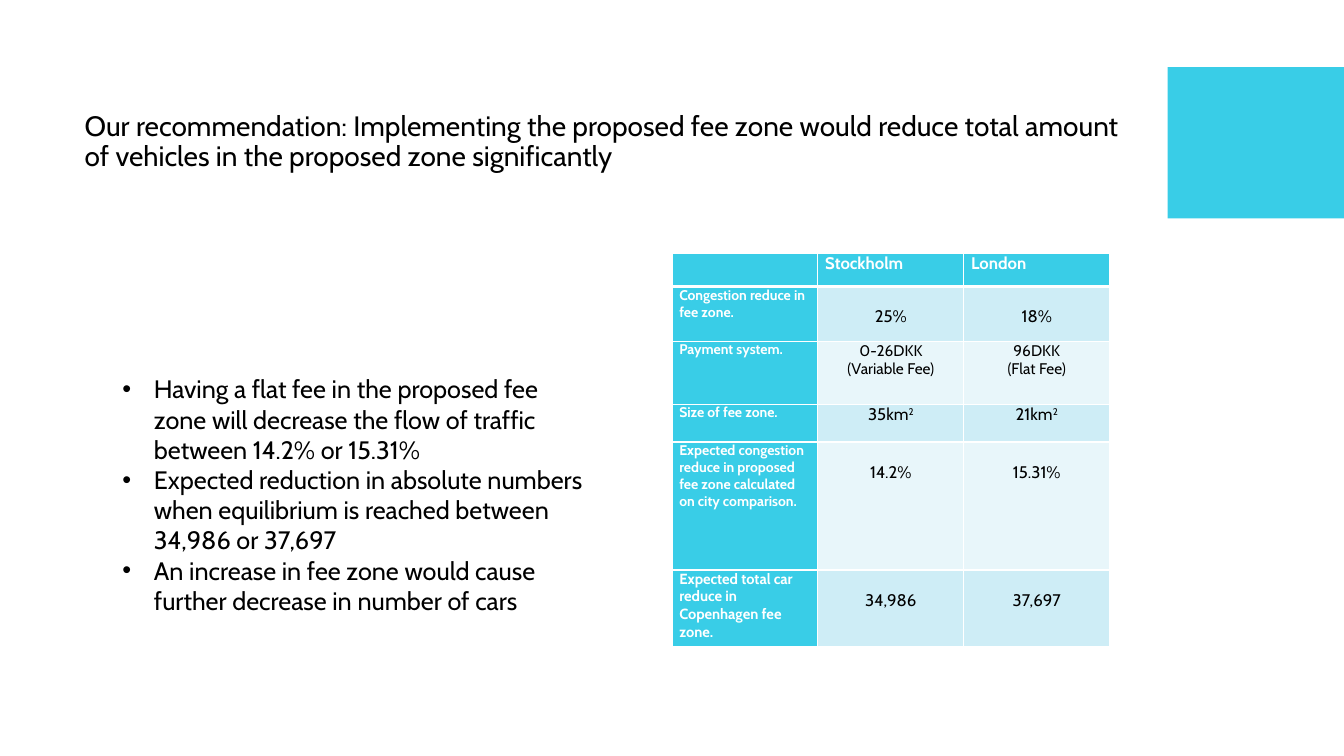
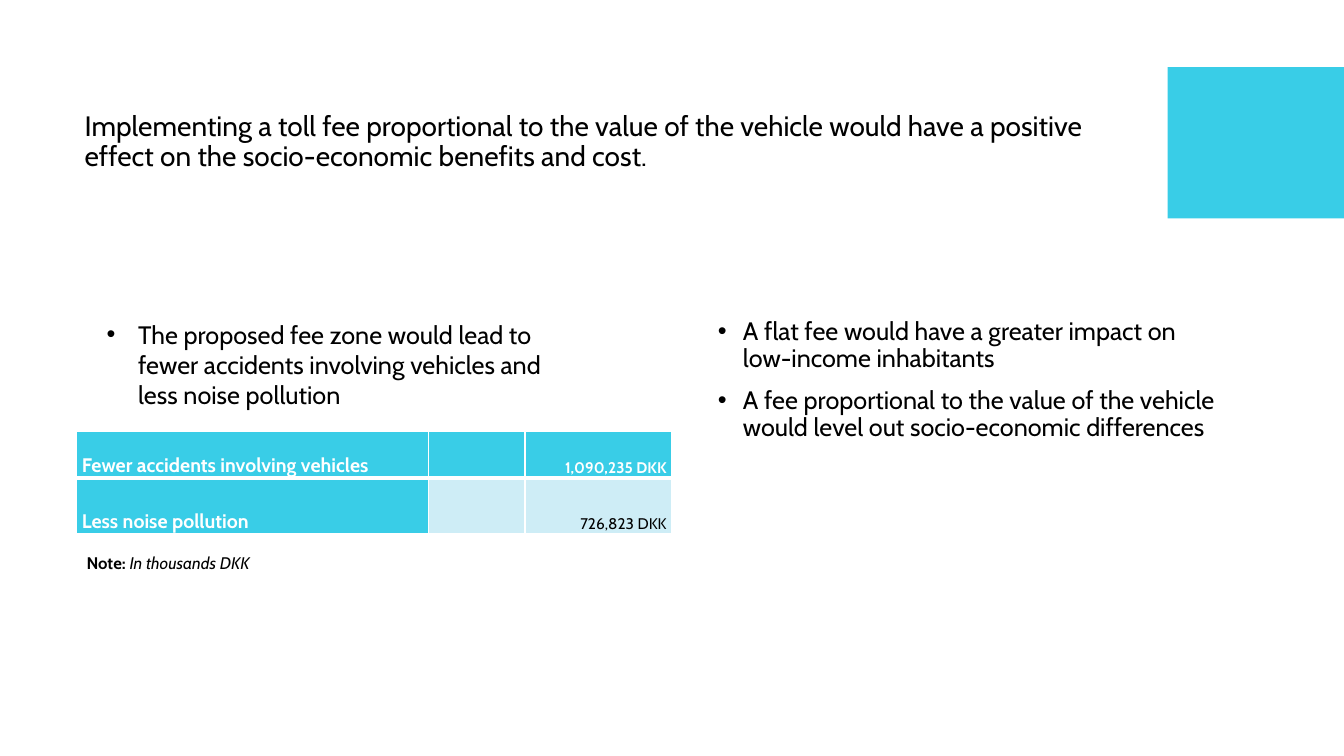
import dataclasses

import pptx
import pptx.dml.color
import pptx.enum.shapes
import pptx.enum.text
import pptx.oxml
import pptx.oxml.ns
import pptx.util

ALIGN = pptx.enum.text.PP_ALIGN
ANCHOR = pptx.enum.text.MSO_ANCHOR
FIT = pptx.enum.text.MSO_AUTO_SIZE
SCALE = 9525


@dataclasses.dataclass(frozen=True)
class Theme:
    font: str = "Cabin"
    ink: str = "000000"
    white: str = "FFFFFF"
    cyan: str = "39CDE7"
    bands: tuple = ("CEEDF6", "E8F6FA")
    title: int = 20
    list: int = 18
    head: int = 14
    base: int = 12
    small: int = 11
    label: int = 10
    thin: int = 1
    thick: int = 3


THEME = Theme()

PAGE = (1280, 720)
BAND = (1112, 64, 168, 144)
TITLE = (71, 79, 1009, 113)

FEES = {
    "title": "Our recommendation: Implementing the proposed fee zone would reduce "
             "total amount of vehicles in the proposed zone significantly",
    "layout": 1,
    "lists": [
        {"box": (107, 351, 469, 242), "dent": 30, "line": 1.0, "gap": 0, "items": [
            "Having a flat fee in the proposed fee zone will decrease the flow of "
            "traffic between 14.2% or 15.31%",
            "Expected reduction in absolute numbers when equilibrium is reached "
            "between 34,986 or 37,697",
            "An increase in fee zone would cause further decrease in number of cars",
        ]},
    ],
    "table": {
        "at": (640, 241), "cols": [139, 139, 139], "inset": 7,
        "anchor": ANCHOR.TOP, "align": ALIGN.CENTER, "head": ALIGN.LEFT,
        "rows": [
            (32, THEME.label, THEME.base, 0, ["", "Stockholm", "London"]),
            (52, THEME.label, THEME.base, 19,
             ["Congestion reduce in fee zone.", "25%", "18%"]),
            (60, THEME.label, THEME.small, 0,
             ["Payment system.", "0-26DKK\n(Variable Fee)", "96DKK\n(Flat Fee)"]),
            (36, THEME.label, THEME.base, 0,
             ["Size of fee zone.", "35km^2", "21km^2"]),
            (122, THEME.label, THEME.base, 19,
             ["Expected congestion reduce in proposed fee zone calculated on city "
              "comparison.", "14.2%", "15.31%"]),
            (73, 10.5, THEME.base, 19,
             ["Expected total car reduce in Copenhagen fee zone.",
              "34,986", "37,697"]),
        ],
    },
}

GAINS = {
    "title": "Implementing a toll fee proportional to the value of the vehicle would "
             "have a positive effect on the socio-economic benefits and cost.",
    "layout": 3,
    "lists": [
        {"box": (92, 299, 471, 97), "dent": 30, "line": 1.0, "gap": 0, "items": [
            "The proposed fee zone would lead to fewer accidents involving vehicles "
            "and less noise pollution",
        ]},
        {"box": (674, 299, 493, 378), "dent": 24, "line": 0.9, "gap": 10, "items": [
            "A flat fee would have a greater impact on low-income inhabitants",
            "A fee proportional to the value of the vehicle would level out "
            "socio-economic differences",
        ]},
    ],
    "table": {
        "at": (73, 411), "cols": [335, 92, 140], "inset": 5,
        "anchor": ANCHOR.BOTTOM, "align": ALIGN.RIGHT, "head": ALIGN.RIGHT,
        "rows": [
            (44, THEME.head, THEME.small, 0,
             ["Fewer accidents involving vehicles", "", "1,090,235 DKK"]),
            (53, THEME.head, THEME.small, 0,
             ["Less noise pollution", "", "726,823 DKK"]),
        ],
    },
    "note": {"box": (73, 522, 190, 29),
             "runs": [("Note: ", True, False), ("In thousands DKK", False, True)]},
}


def px(num):
    return pptx.util.Emu(num * SCALE)


def rgb(code):
    return pptx.dml.color.RGBColor.from_string(code)


def place(shape, box):
    shape.left, shape.top, shape.width, shape.height = map(px, box)


def add_run(para, text, size, color=THEME.ink, bold=False, slant=False):
    run = para.add_run()
    run.text = text
    font = run.font
    font.name, font.size = THEME.font, pptx.util.Pt(size)
    font.bold, font.italic = bold, slant
    font.color.rgb = rgb(color)
    return run


def next_para(frame, index):
    return frame.add_paragraph() if index else frame.paragraphs[0]


def add_bullet(para, dent):
    props = para._p.get_or_add_pPr()
    props.set("marL", str(px(dent)))
    props.set("indent", str(-px(dent)))
    for tag, key, value in (("buFont", "typeface", "Arial"), ("buChar", "char", "•")):
        item = pptx.oxml.parse_xml(f"<a:{tag} {pptx.oxml.ns.nsdecls('a')}/>")
        item.set(key, value)
        props.append(item)


def fill_title(shape, text):
    frame = shape.text_frame
    frame.auto_size = FIT.NONE
    frame.vertical_anchor = ANCHOR.MIDDLE
    para = frame.paragraphs[0]
    para.alignment = ALIGN.LEFT
    para.line_spacing = 0.9
    add_run(para, text, THEME.title)


def fill_list(shape, data):
    place(shape, data["box"])
    frame = shape.text_frame
    frame.auto_size = FIT.NONE
    frame.vertical_anchor = ANCHOR.TOP
    for index, text in enumerate(data["items"]):
        para = next_para(frame, index)
        para.line_spacing = data["line"]
        para.space_before = pptx.util.Pt(data["gap"] if index else 0)
        add_bullet(para, data["dent"])
        add_run(para, text, THEME.list)


def add_edges(cell, row):
    props = cell._tc.get_or_add_tcPr()
    bold = {"T": row == 1, "B": row == 0}
    for side in "LRTB":
        width = pptx.util.Pt(THEME.thick if bold.get(side) else THEME.thin)
        props.append(pptx.oxml.parse_xml(
            f'<a:ln{side} {pptx.oxml.ns.nsdecls("a")} w="{width}">'
            f'<a:solidFill><a:srgbClr val="{THEME.white}"/></a:solidFill></a:ln{side}>'))


def fill_cell(cell, text, size, color, bold, align):
    for index, line in enumerate(text.split("\n")):
        para = next_para(cell.text_frame, index)
        para.alignment = align
        base, _, power = line.partition("^")
        if base:
            add_run(para, base, size, color, bold)
        if power:
            run = add_run(para, power, size, color, bold)
            run._r.get_or_add_rPr().set("baseline", "30000")


def add_grid(slide, data):
    rows, cols = data["rows"], data["cols"]
    high = sum(row[0] for row in rows)
    box = map(px, (*data["at"], sum(cols), high))
    table = slide.shapes.add_table(len(rows), len(cols), *box).table
    table.horz_banding = False
    for col, width in enumerate(cols):
        table.columns[col].width = px(width)
    for r, (height, label, size, pad, texts) in enumerate(rows):
        table.rows[r].height = px(height)
        for c, text in enumerate(texts):
            cell = table.cell(r, c)
            key = r == 0 or c == 0
            cell.margin_left = cell.margin_right = px(data["inset"])
            cell.margin_top, cell.margin_bottom = px(pad if c else 0), px(0)
            cell.vertical_anchor = data["anchor"]
            add_edges(cell, r)
            cell.fill.solid()
            cell.fill.fore_color.rgb = rgb(THEME.cyan if key else THEME.bands[(r + 1) % 2])
            align = ALIGN.LEFT if c == 0 else data["align"] if r else data["head"]
            fill_cell(cell, text, size if c else label,
                      THEME.white if key else THEME.ink, key, align)


def add_note(slide, data):
    frame = slide.shapes.add_textbox(*map(px, data["box"])).text_frame
    frame.word_wrap = False
    for text, bold, slant in data["runs"]:
        add_run(frame.paragraphs[0], text, THEME.base, bold=bold, slant=slant)


def set_master(deck, slide):
    master = deck.slide_master
    for shape in master.placeholders:
        if shape.placeholder_format.type == pptx.enum.shapes.PP_PLACEHOLDER.TITLE:
            place(shape, TITLE)
    band = slide.shapes.add_shape(
        pptx.enum.shapes.MSO_SHAPE.RECTANGLE, *map(px, BAND))
    band.shadow.inherit = False
    band.fill.solid()
    band.fill.fore_color.rgb = rgb(THEME.cyan)
    band.line.fill.background()
    band._element.nvSpPr.cNvPr.set("id", "99")
    master.shapes._spTree.append(band._element)


def main():
    deck = pptx.Presentation()
    deck.slide_width, deck.slide_height = map(px, PAGE)
    for index, data in enumerate((FEES, GAINS)):
        slide = deck.slides.add_slide(deck.slide_layouts[data["layout"]])
        if index == 0:
            set_master(deck, slide)
        fill_title(slide.shapes.title, data["title"])
        for spot, block in enumerate(data["lists"], 1):
            fill_list(slide.placeholders[spot], block)
        add_grid(slide, data["table"])
        if "note" in data:
            add_note(slide, data["note"])
    deck.save("out.pptx")


if __name__ == "__main__":
    main()
